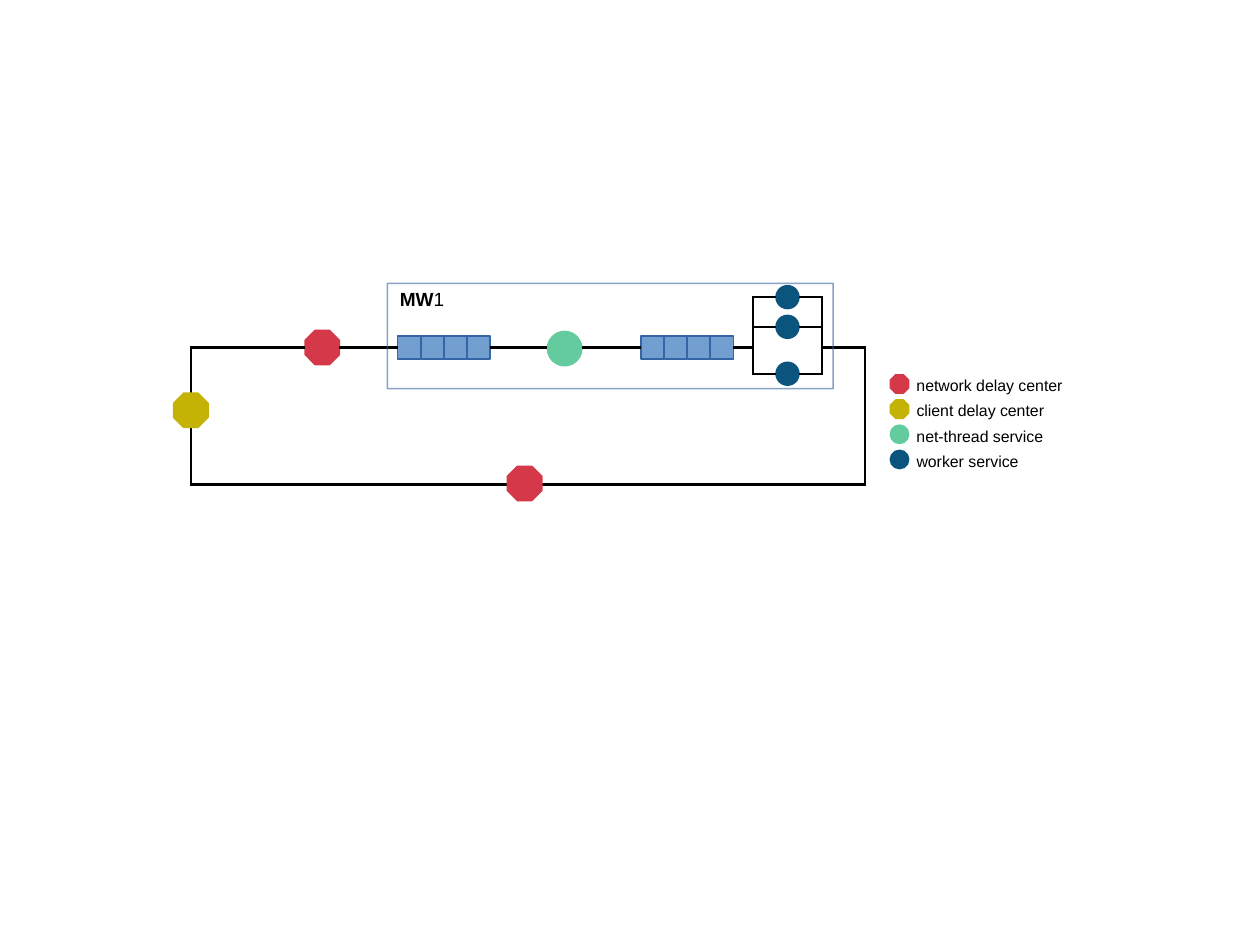
"""Draw a closed queueing network with one middleware and its legend."""
from lxml import etree
from pptx import Presentation
from pptx.dml.color import RGBColor
from pptx.enum.shapes import MSO_CONNECTOR, MSO_SHAPE
from pptx.enum.text import MSO_AUTO_SIZE, PP_ALIGN
from pptx.oxml.ns import qn
from pptx.util import Inches, Pt

OCT, OVAL, RECT = MSO_SHAPE.OCTAGON, MSO_SHAPE.OVAL, MSO_SHAPE.RECTANGLE
LINE = MSO_CONNECTOR.STRAIGHT
LEFT, JUST = PP_ALIGN.LEFT, PP_ALIGN.JUSTIFY
FIT = MSO_AUTO_SIZE.SHAPE_TO_FIT_TEXT
RED = RGBColor(0xD4, 0x38, 0x49)
GOLD = RGBColor(0xC4, 0xB2, 0x05)
GREEN = RGBColor(0x63, 0xCB, 0x9D)
NAVY = RGBColor(0x0B, 0x54, 0x7E)
SKY = RGBColor(0x72, 0x9F, 0xCF)
BLUE = RGBColor(0x34, 0x65, 0xA4)
BLACK = RGBColor(0, 0, 0)

NET, CLIENT, THREAD, WORKER = (OCT, RED), (OCT, GOLD), (OVAL, GREEN), (OVAL, NAVY)
LEGEND = [
    ("network delay center", NET, 1.5, LEFT),
    ("client delay center", CLIENT, 1.35, LEFT),
    ("net-thread service", THREAD, 1.33, LEFT),
    ("worker service", WORKER, 1.11, JUST),
]
TITLE = [("MW", True), ("1", False)]
CM = 2.54
WIDE, HIGH = 28 / CM, 21 / CM
MID, LOW = 3.04, 4.24
WEST, EAST = 1.67, 7.57
QUEUES = [3.48, 5.61]
SLOTS, SLOT, QWIDE = 4, 0.2, 0.81
NODE, DOT, KEY = 0.3, 0.2, 0.16
FORK, JOIN, DOTX = 6.59, 7.19, 6.79
ROWS = [2.6, 2.86, 3.27]
KEYX, KEYY, STEP = 7.79, 3.28, 0.22

deck = Presentation()
deck.slide_width, deck.slide_height = Inches(WIDE), Inches(HIGH)
slide = deck.slides.add_slide(deck.slide_layouts[6])
shapes = slide.shapes


def shape(kind, x, y, w, h, fill, edge):
    item = shapes.add_shape(kind, Inches(x), Inches(y), Inches(w), Inches(h))
    item.shadow.inherit = False
    if fill is None:
        item.fill.background()
    else:
        item.fill.solid()
        item.fill.fore_color.rgb = fill
    item.line.color.rgb = edge
    item.line.width = Pt(1)
    return item


def node(look, x, y, size):
    kind, color = look
    return shape(kind, x, y, size, size, color, color)


def wire(x1, y1, x2, y2, start=None, end=None):
    item = shapes.add_connector(LINE, Inches(x1), Inches(y1), Inches(x2), Inches(y2))
    item.line.color.rgb = BLACK
    item.line.width = Pt(1.5)
    etree.SubElement(item._element.spPr, qn("a:effectLst"))
    if start is not None:
        item.begin_connect(start, 3)
    if end is not None:
        item.end_connect(end, 1)


def label(runs, x, y, w, h, size, align=LEFT):
    frame = shapes.add_textbox(Inches(x), Inches(y), Inches(w), Inches(h)).text_frame
    frame.word_wrap = False
    frame.auto_size = FIT
    para = frame.paragraphs[0]
    para.alignment = align
    for text, bold in runs:
        run = para.add_run()
        run.text = text
        run.font.name = "Arial"
        run.font.size = Pt(size)
        run.font.bold = bold
        run.font.color.rgb = BLACK


def queue(x):
    return [shape(RECT, x + i * QWIDE / SLOTS, MID - SLOT / 2, SLOT, SLOT, SKY, BLUE)
            for i in range(SLOTS)]


node(NET, 2.67, 2.89, NODE)
first, second = [queue(x) for x in QUEUES]
node(THREAD, 4.79, 2.9, NODE)
for y in ROWS:
    node(WORKER, DOTX, y - DOT / 2, DOT)

wire(WEST, MID, 2.67, MID)
wire(2.97, MID, QUEUES[0], MID, end=first[0])
wire(QUEUES[0] + QWIDE, MID, 4.79, MID, start=first[-1])
wire(5.09, MID, QUEUES[1], MID, end=second[0])
wire(QUEUES[1] + QWIDE, MID, FORK, MID, start=second[-1])
for x in (FORK, JOIN):
    wire(x, ROWS[0] - 0.01, x, ROWS[-1] + 0.01)
for y in ROWS:
    wire(FORK, y, DOTX, y)
    wire(DOTX + DOT, y, JOIN, y)
wire(JOIN, MID, 7.39, MID)
wire(7.38, MID, EAST, MID)
for x in (EAST, WEST):
    wire(x, MID - 0.01, x, LOW + 0.01)
wire(EAST, LOW, WEST, LOW)
node(NET, 4.44, 4.08, NODE)

for i, (text, look, wide, align) in enumerate(LEGEND):
    y = KEYY + i * STEP
    node(look, KEYX, y, KEY)
    label([(text, False)], 7.92, y - 0.04, wide, 0.25, 10, align)

box = shape(RECT, 3.39, 2.48, 3.9, 0.92, None, BLUE)
tint = box.line._ln.find(".//" + qn("a:srgbClr"))
etree.SubElement(tint, qn("a:alpha")).set("val", "60000")
label(TITLE, 3.4, 2.47, 0.59, 0.29, 12)
node(CLIENT, 1.52, 3.44, NODE)

deck.save("out.pptx")
